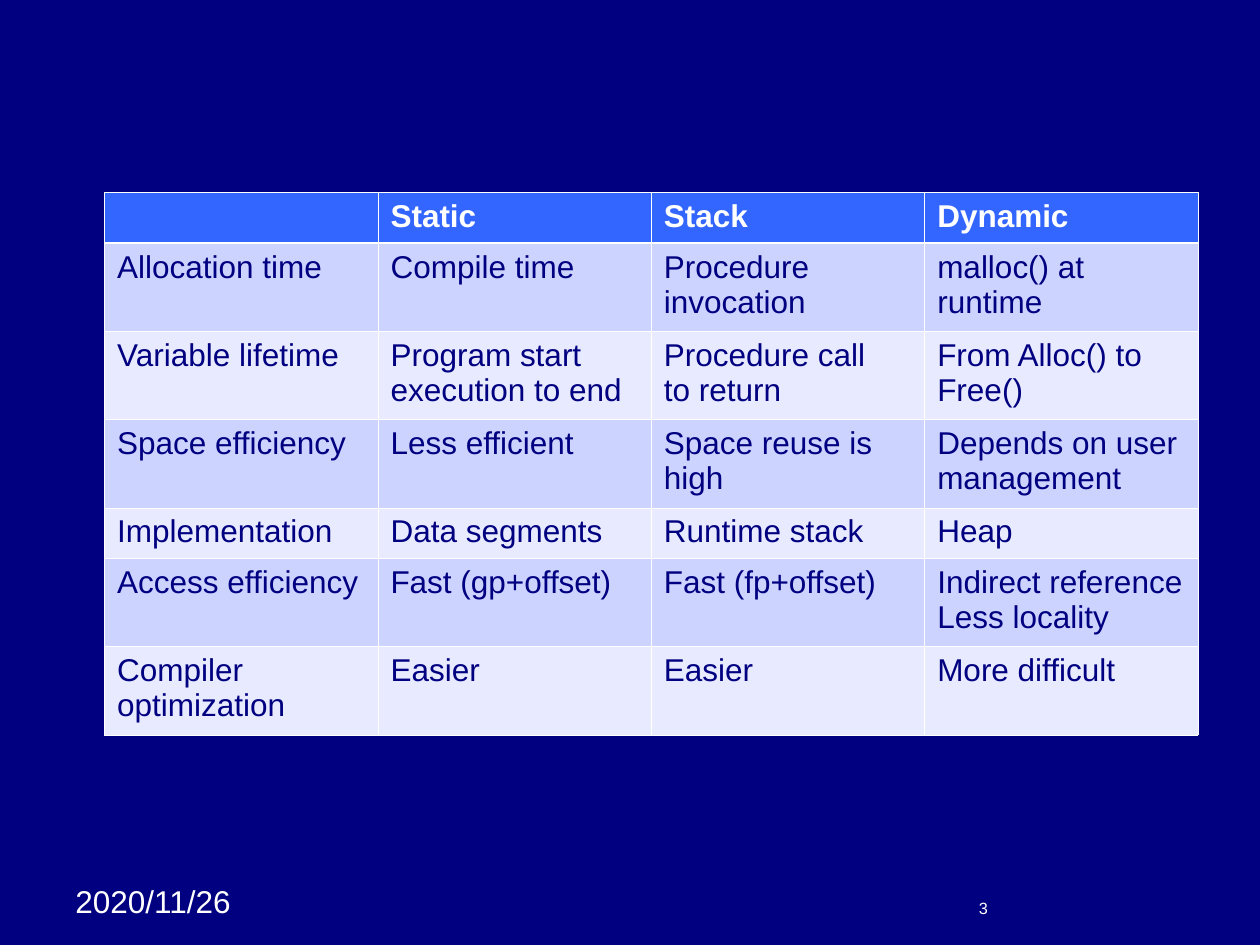
"""Build a slide comparing static, stack and dynamic memory allocation."""
from dataclasses import dataclass

from lxml import etree
from pptx import Presentation
from pptx.dml.color import RGBColor
from pptx.oxml.ns import qn
from pptx.util import Inches, Pt

FONT = "Arial"
COLORS = {
    "navy": "000080",
    "white": "FFFFFF",
    "header": "3366FF",
    "odd": "CDD3FF",
    "even": "E8EAFF",
}
THIN, THICK = 0.45, 1.47
COL_WIDTH = 2.17
SHORT_ROW, TALL_ROW = 0.4, 0.7


@dataclass
class Label:
    text: str
    left: float
    top: float
    width: float
    height: float
    size: float


@dataclass
class Row:
    height: float
    cells: tuple[str, ...]


LABELS = [
    Label("2020/11/26", 0.5, 6.95, 1.58, 0.4, 18),
    Label("3", 7.67, 7.08, 2.33, 0.27, 9.3),
]
ROWS = [
    Row(SHORT_ROW, ("", "Static", "Stack", "Dynamic")),
    Row(TALL_ROW, ("Allocation time", "Compile time", "Procedure invocation",
                   "malloc() at runtime")),
    Row(TALL_ROW, ("Variable lifetime", "Program start execution to end",
                   "Procedure call\nto return", "From Alloc() to Free()")),
    Row(TALL_ROW, ("Space efficiency", "Less efficient", "Space reuse is\nhigh",
                   "Depends on user management")),
    Row(SHORT_ROW, ("Implementation", "Data segments", "Runtime stack", "Heap")),
    Row(TALL_ROW, ("Access efficiency", "Fast (gp+offset)", "Fast (fp+offset)",
                   "Indirect reference\nLess locality")),
    Row(TALL_ROW, ("Compiler optimization", "Easier", "Easier", "More difficult")),
]


def rgb(name: str) -> RGBColor:
    return RGBColor.from_string(COLORS[name])


def write(tf, text: str, size: float, color: str, bold: bool = False) -> None:
    for i, line in enumerate(text.split("\n")):
        p = tf.paragraphs[0] if i == 0 else tf.add_paragraph()
        p.font.size = Pt(size)
        if line:
            r = p.add_run()
            r.text = line
            r.font.name = FONT
            r.font.size = Pt(size)
            r.font.bold = bold
            r.font.color.rgb = rgb(color)


def add_label(s, label: Label) -> None:
    box = s.shapes.add_textbox(Inches(label.left), Inches(label.top),
                               Inches(label.width), Inches(label.height))
    box.text_frame.word_wrap = True
    write(box.text_frame, label.text, label.size, "white")


def set_borders(cell, top: float, bottom: float) -> None:
    tc_pr = cell._tc.get_or_add_tcPr()
    widths = {"a:lnL": THIN, "a:lnR": THIN, "a:lnT": top, "a:lnB": bottom}
    for tag, width in widths.items():
        ln = etree.SubElement(tc_pr, qn(tag), w=str(Pt(width)))
        fill = etree.SubElement(ln, qn("a:solidFill"))
        etree.SubElement(fill, qn("a:srgbClr"), val=COLORS["white"])


def add_comparison(s, rows: list[Row]) -> None:
    n_cols = len(rows[0].cells)
    height = sum(row.height for row in rows)
    table = s.shapes.add_table(len(rows), n_cols, Inches(0.83), Inches(1.53),
                               Inches(COL_WIDTH * n_cols), Inches(height)).table
    for col in table.columns:
        col.width = Inches(COL_WIDTH)
    for i, row in enumerate(rows):
        table.rows[i].height = Inches(row.height)
        header = i == 0
        band = "header" if header else "odd" if i % 2 else "even"
        for j, text in enumerate(row.cells):
            cell = table.cell(i, j)
            set_borders(cell, THICK if i == 1 else THIN, THICK if header else THIN)
            cell.fill.solid()
            cell.fill.fore_color.rgb = rgb(band)
            write(cell.text_frame, text, 18, "white" if header else "navy", header)


def main() -> None:
    prs = Presentation()
    prs.slide_width, prs.slide_height = Inches(10), Inches(7.5)
    s = prs.slides.add_slide(prs.slide_layouts[6])
    s.background.fill.solid()
    s.background.fill.fore_color.rgb = rgb("navy")
    for label in LABELS:
        add_label(s, label)
    add_comparison(s, ROWS)
    prs.save("out.pptx")


if __name__ == "__main__":
    main()
